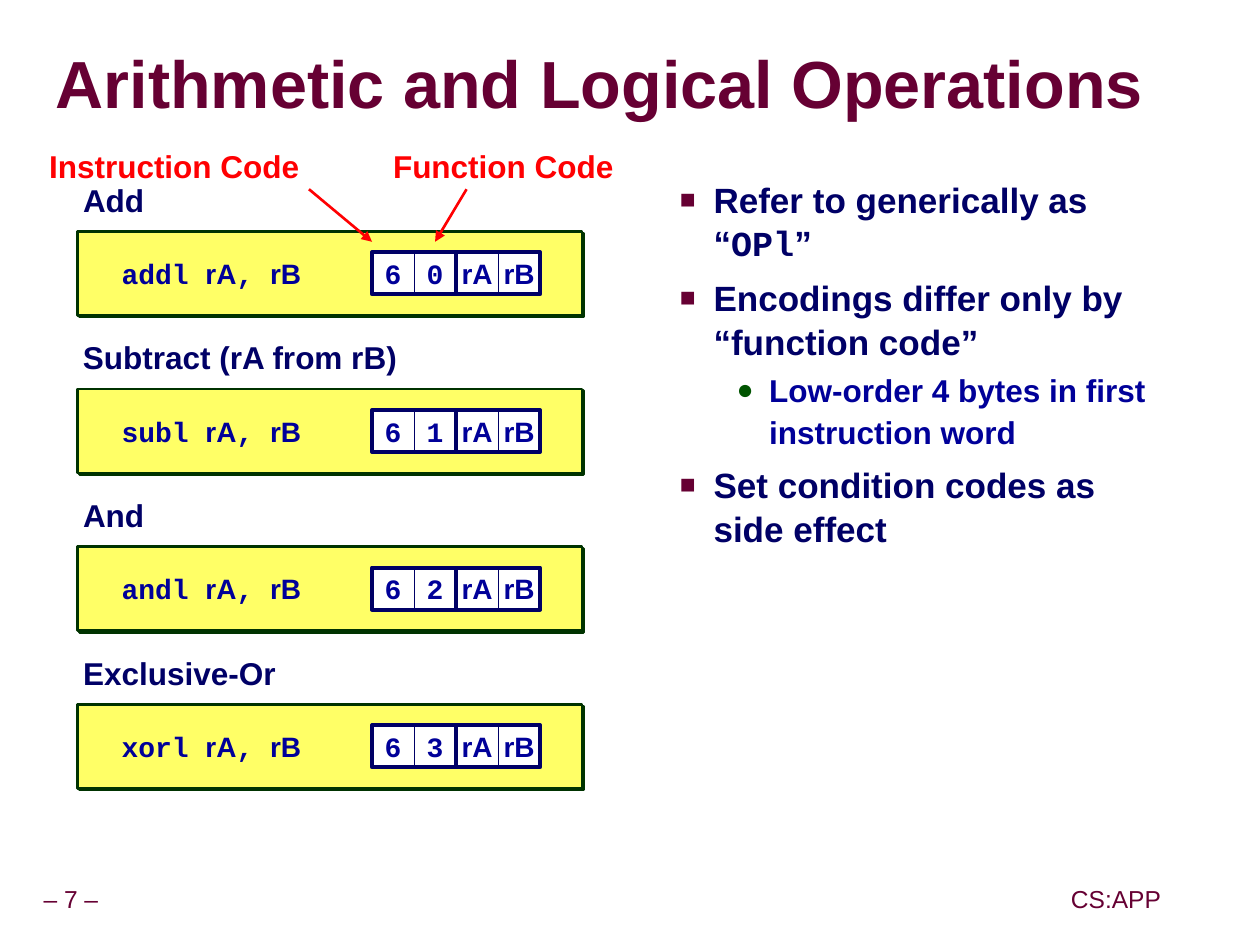
import lxml.etree
import pptx
import pptx.dml.color
import pptx.enum.shapes
import pptx.enum.text
import pptx.oxml.ns
import pptx.util

RGB = pptx.dml.color.RGBColor
WINE = RGB(0x66, 0x00, 0x33)
NAVY = RGB(0x00, 0x00, 0x66)
BLUE = RGB(0x00, 0x00, 0x99)
GREEN = RGB(0x00, 0x54, 0x00)
MOSS = RGB(0x00, 0x33, 0x00)
GRAY = RGB(0x96, 0x96, 0x96)
YELLOW = RGB(0xFF, 0xFF, 0x66)
WHITE = RGB(0xFF, 0xFF, 0xFF)
RED = RGB(0xFF, 0x00, 0x02)

SANS = "Arial"
MONO = "Courier New"
LEFT = pptx.enum.text.PP_ALIGN.LEFT
MID = pptx.enum.text.PP_ALIGN.CENTER
RIGHT = pptx.enum.text.PP_ALIGN.RIGHT


def px(count):
    return pptx.util.Emu(count * 7620)


def node(parent, tag, **attrs):
    name = pptx.oxml.ns.qn("a:" + tag)
    return lxml.etree.SubElement(parent, name, {k: str(v) for k, v in attrs.items()})


def shade(parent, color, dist):
    effects = node(parent, "effectLst")
    outer = node(effects, "outerShdw", dist=dist, dir=2700000, algn="ctr", rotWithShape=0)
    node(outer, "srgbClr", val=color)


class Deck:
    """Holds the style and the current slide, and draws each kind of element."""

    def __init__(self):
        self.show = pptx.Presentation()
        self.show.slide_width = px(1199)
        self.show.slide_height = px(899)
        self.slide = self.show.slides.add_slide(self.show.slide_layouts[1])
        self.shapes = self.slide.shapes

    def place(self, shape, x, y, w, h):
        shape.left, shape.top, shape.width, shape.height = map(px, (x, y, w, h))

    def frame(self, shape, pad_x, pad_y, wrap, middle):
        frame = shape.text_frame
        frame.auto_size = pptx.enum.text.MSO_AUTO_SIZE.NONE
        frame.margin_left = frame.margin_right = px(pad_x)
        frame.margin_top = frame.margin_bottom = px(pad_y)
        frame.word_wrap = wrap
        anchor = pptx.enum.text.MSO_ANCHOR
        frame.vertical_anchor = anchor.MIDDLE if middle else anchor.TOP
        return frame

    def letter(self, para, runs, size, color, bold=True, align=LEFT, pitch=1.0):
        para.alignment = align
        para.line_spacing = pitch
        font = para.font
        font.size, font.bold = pptx.util.Pt(size), bold
        font.color.rgb = color
        same = len({face for _, face in runs}) == 1
        if same:
            font.name = runs[0][1]
        for text, face in runs:
            run = para.add_run()
            run.text = text
            if not same:
                run.font.name = face

    def title(self, text):
        shape = self.shapes.title
        self.place(shape, 53, 32, 1142, 102)
        para = self.frame(shape, 0, 0, True, True).paragraphs[0]
        self.letter(para, [(text, SANS)], 38, WINE, pitch=0.87)
        shade(para.runs[0]._r.get_or_add_rPr(), GRAY, 60000)

    def body(self, items):
        shape = self.slide.placeholders[1]
        self.place(shape, 570, 162, 557, 684)
        frame = self.frame(shape, 12, 6, True, False)
        styles = {
            1: (97, -32, 6.2, "■", WINE, 75, 20, NAVY, 1.04),
            2: (150, -31, 2.2, "●", GREEN, 90, 18, BLUE, 1.12),
        }
        for index, (level, runs) in enumerate(items):
            left, hang, gap, mark, tint, scale, size, color, pitch = styles[level]
            para = frame.add_paragraph() if index else frame.paragraphs[0]
            para.level = level
            para.space_before = pptx.util.Pt(gap if index else 0)
            props = para._p.get_or_add_pPr()
            props.set("marL", str(px(left)))
            props.set("indent", str(px(hang)))
            node(node(props, "buClr"), "srgbClr", val=tint)
            node(props, "buSzPct", val=scale * 1000)
            node(props, "buFont", typeface=SANS)
            node(props, "buChar", char=mark)
            self.letter(para, runs, size, color, pitch=pitch)

    def label(self, x, y, w, h, runs, size, color, pad=6, middle=False, **style):
        shape = self.shapes.add_textbox(px(x), px(y), px(w), px(h))
        frame = self.frame(shape, pad, 6, False, middle)
        self.letter(frame.paragraphs[0], runs, size, color, **style)

    def box(self, x, y, w, h, fill, line, weight):
        kind = pptx.enum.shapes.MSO_SHAPE.RECTANGLE
        shape = self.shapes.add_shape(kind, px(x), px(y), px(w), px(h))
        shape.shadow.inherit = False
        if fill is None:
            shape.fill.background()
        else:
            shape.fill.solid()
            shape.fill.fore_color.rgb = fill
        shape.line.color.rgb = line
        shape.line.width = pptx.util.Pt(weight)
        return shape

    def panel(self, x, y, w, h):
        shape = self.box(x, y, w, h, YELLOW, MOSS, 1.5)
        props = shape._element.spPr
        props.remove(props.find(pptx.oxml.ns.qn("a:effectLst")))
        shade(props, MOSS, 17960)

    def cell(self, x, y, text, face):
        shape = self.box(x, y, 40, 40, WHITE, NAVY, 0.5)
        frame = self.frame(shape, 12, 6, False, True)
        self.letter(frame.paragraphs[0], [(text, face)], 16, BLUE, align=MID)

    def pair(self, x, y, texts, face):
        for index, text in enumerate(texts):
            self.cell(x + 40 * index, y, text, face)
        self.box(x, y, 80, 40, None, NAVY, 2.25)

    def arrow(self, x1, y1, x2, y2):
        kind = pptx.enum.shapes.MSO_CONNECTOR.STRAIGHT
        line = self.shapes.add_connector(kind, px(x1), px(y1), px(x2), px(y2))
        line.line.color.rgb = RED
        line.line.width = pptx.util.Pt(1.5)
        props = line._element.spPr
        node(props.find(pptx.oxml.ns.qn("a:ln")), "tailEnd", type="triangle")
        node(props, "effectLst")


def main():
    deck = Deck()
    deck.title("Arithmetic and Logical Operations")
    deck.body([
        (1, [("Refer to generically as “", SANS), ("OPl", MONO), ("”", SANS)]),
        (1, [("Encodings differ only by “function code”", SANS)]),
        (2, [("Low-order 4 bytes in first instruction word", SANS)]),
        (1, [("Set condition codes as side effect", SANS)]),
    ])

    rows = [
        ("Add", 71, "addl "),
        ("Subtract (rA from rB)", 312, "subl "),
        ("And", 71, "andl "),
        ("Exclusive-Or", 196, "xorl "),
    ]
    for code, (name, width, word) in enumerate(rows):
        top = 220 + 150 * code
        deck.panel(74, top, 480, 80)
        runs = [(word, MONO), ("rA", SANS), (", ", MONO), ("rB", SANS)]
        deck.label(104, top + 20, 250, 40, runs, 16, BLUE, pad=12, middle=True)
        deck.pair(354, top + 20, ("6", str(code)), MONO)
        deck.pair(434, top + 20, ("rA", "rB"), SANS)
        deck.label(73, top - 50, width, 44, [(name, SANS)], 18, NAVY, pitch=0.9)

    for text, x, width, start, end in [
        ("Instruction Code", 40, 251, 294, 354),
        ("Function Code", 368, 222, 444, 414),
    ]:
        deck.arrow(start, 180, end, 230)
        deck.label(x, 138, width, 44, [(text, SANS)], 18, RED, align=RIGHT, pitch=0.9)

    for text, x, width in [("– 7 –", -11, 157), ("CS:APP", 1013, 98)]:
        deck.label(x, 838, width, 37, [(text, SANS)], 14, WINE,
                   middle=True, bold=False, align=MID, pitch=0.9)

    deck.show.save("out.pptx")


if __name__ == "__main__":
    main()
